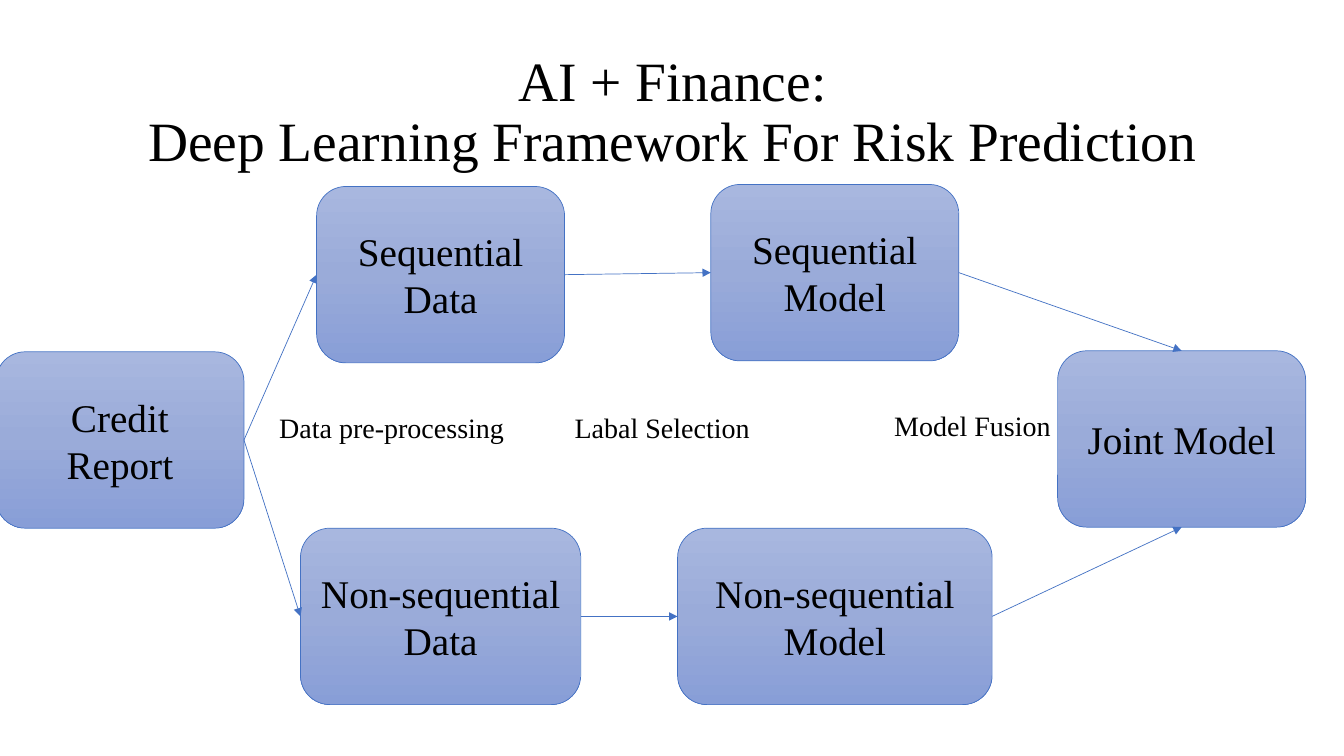
import copy

import pptx
import pptx.dml.color
import pptx.enum.shapes
import pptx.enum.text
import pptx.oxml
import pptx.oxml.ns
import pptx.util

PX = 9144
FONT = "Times New Roman"
COLORS = {
    "text": "000000",
    "line": "4472C4",
    "top": "A8B7DF",
    "middle": "9AABD9",
    "bottom": "889ED7",
}
TOP, LEFT, BOTTOM, RIGHT = range(4)
BOX_HEIGHT = 175
BOXES = {
    "Credit Report": (-4, 349, 246),
    "Sequential Model": (705, 183, 246),
    "Non-sequential Data": (298, 524, 278),
    "Sequential Data": (314, 185, 246),
    "Non-sequential Model": (672, 524, 312),
    "Joint Model": (1049, 348, 246),
}
ARROWS = [
    ("Credit Report", RIGHT, "Sequential Data", LEFT),
    ("Credit Report", RIGHT, "Non-sequential Data", LEFT),
    ("Sequential Data", RIGHT, "Sequential Model", LEFT),
    ("Non-sequential Data", RIGHT, "Non-sequential Model", LEFT),
    ("Sequential Model", RIGHT, "Joint Model", TOP),
    ("Non-sequential Model", RIGHT, "Joint Model", BOTTOM),
]
STAGES = [
    ("Data pre-processing", 267, 402, 399),
    ("Labal Selection", 560, 402, 318),
    ("Model Fusion", 877, 400, 288),
]


def rgb(name):
    """Return the named colour."""
    return pptx.dml.color.RGBColor.from_string(COLORS[name])


def px(*lengths):
    """Turn px lengths into EMU."""
    return [n * PX for n in lengths]


def add_run(p, text, size):
    """Add one run in the slide's font."""
    r = p.add_run()
    r.text = text
    r.font.name = FONT
    r.font.size = pptx.util.Pt(size)
    r.font.color.rgb = rgb("text")


def center(tf):
    """Wrap and centre a text frame both ways and return its paragraph."""
    tf.word_wrap = True
    tf.vertical_anchor = pptx.enum.text.MSO_ANCHOR.MIDDLE
    p = tf.paragraphs[0]
    p.alignment = pptx.enum.text.PP_ALIGN.CENTER
    return p


def style_line(line):
    """Apply the thin blue line."""
    line.color.rgb = rgb("line")
    line.width = pptx.util.Pt(0.5)


def add_title(s, lines):
    """Add the centred title with a break between its lines."""
    p = center(s.shapes.add_textbox(*px(92, 40, 1150, 145)).text_frame)
    p.line_spacing = 0.9
    for i, text in enumerate(lines):
        if i:
            p.add_line_break()
        add_run(p, text, 39.6)


def fill_gradient(sp):
    """Fill a shape with the vertical three-stop gradient."""
    sp.fill.gradient()
    sp.fill.gradient_angle = 270
    stops = sp._element.spPr.find(".//" + pptx.oxml.ns.qn("a:gsLst"))
    stops.insert(1, copy.deepcopy(stops[0]))
    for stop, name, position in zip(
        sp.fill.gradient_stops, ("top", "middle", "bottom"), (0, 0.5, 1)
    ):
        stop.color.rgb = rgb(name)
        stop.position = position


def add_box(s, text, left, top, width):
    """Add a rounded box with its label."""
    sp = s.shapes.add_shape(
        pptx.enum.shapes.MSO_SHAPE.ROUNDED_RECTANGLE,
        *px(left, top, width, BOX_HEIGHT),
    )
    sp.shadow.inherit = False
    fill_gradient(sp)
    style_line(sp.line)
    add_run(center(sp.text_frame), text, 28)
    return sp


def add_arrow(s, start, start_side, end, end_side):
    """Join two boxes with an arrow."""
    c = s.shapes.add_connector(
        pptx.enum.shapes.MSO_CONNECTOR.STRAIGHT, 0, 0, 0, 0
    )
    c.begin_connect(start, start_side)
    c.end_connect(end, end_side)
    style_line(c.line)
    tail = pptx.oxml.parse_xml(
        f'<a:tailEnd {pptx.oxml.ns.nsdecls("a")} type="triangle"/>'
    )
    c.line._get_or_add_ln().append(tail)
    c._element.spPr.append(
        pptx.oxml.parse_xml(f'<a:effectLst {pptx.oxml.ns.nsdecls("a")}/>')
    )


def add_stage(s, text, left, top, width):
    """Add the label of a processing stage."""
    tf = s.shapes.add_textbox(*px(left, top, width, 44)).text_frame
    tf.word_wrap = True
    tf.auto_size = pptx.enum.text.MSO_AUTO_SIZE.SHAPE_TO_FIT_TEXT
    add_run(tf.paragraphs[0], text, 20)


def main():
    """Build and save the slide."""
    prs = pptx.Presentation()
    prs.slide_width, prs.slide_height = px(1333, 750)
    s = prs.slides.add_slide(prs.slide_layouts[6])
    add_title(s, ["AI + Finance:", "Deep Learning Framework For Risk Prediction"])
    boxes = {text: add_box(s, text, *place) for text, place in BOXES.items()}
    for start, start_side, end, end_side in ARROWS:
        add_arrow(s, boxes[start], start_side, boxes[end], end_side)
    for stage in STAGES:
        add_stage(s, *stage)
    prs.save("out.pptx")


if __name__ == "__main__":
    main()
